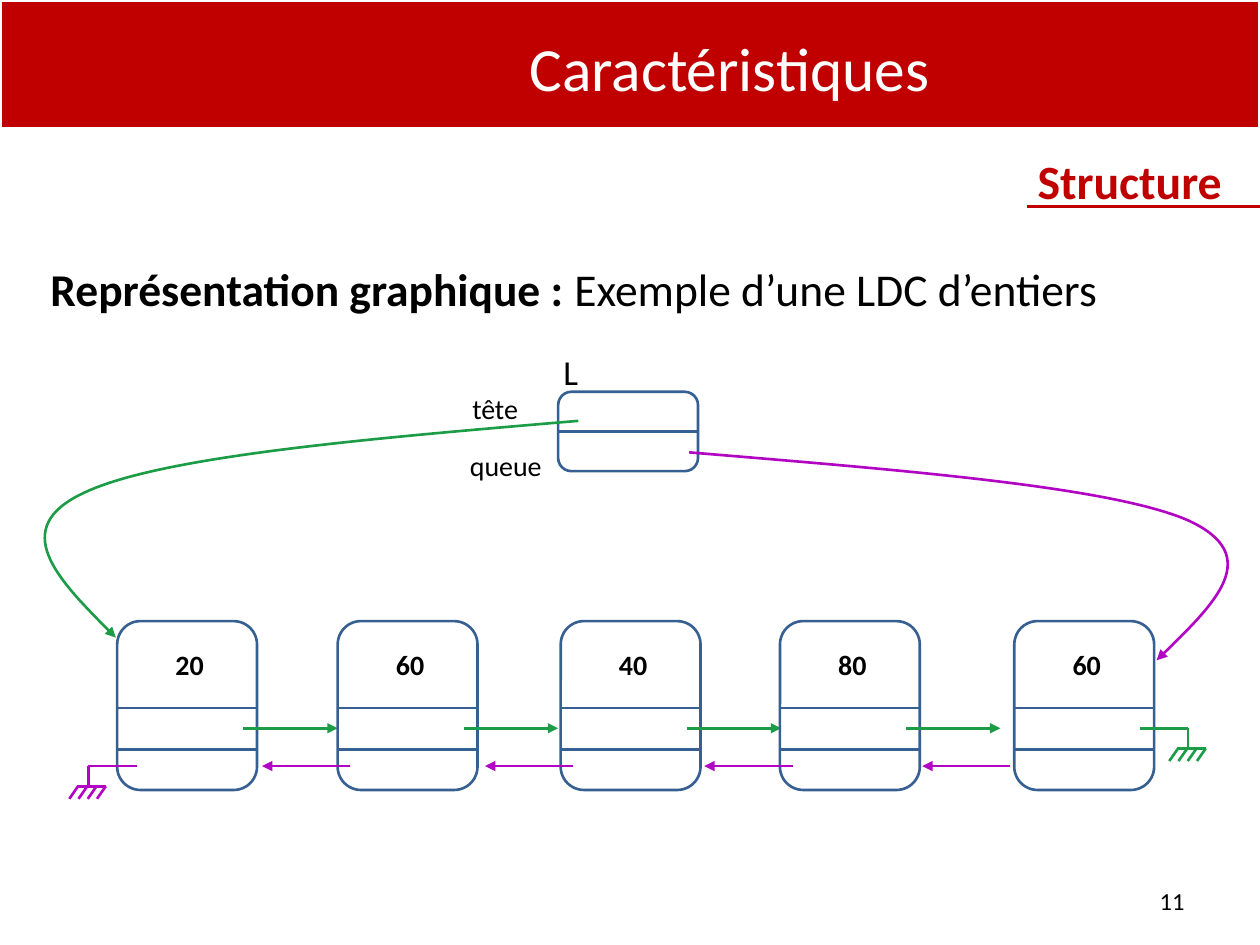
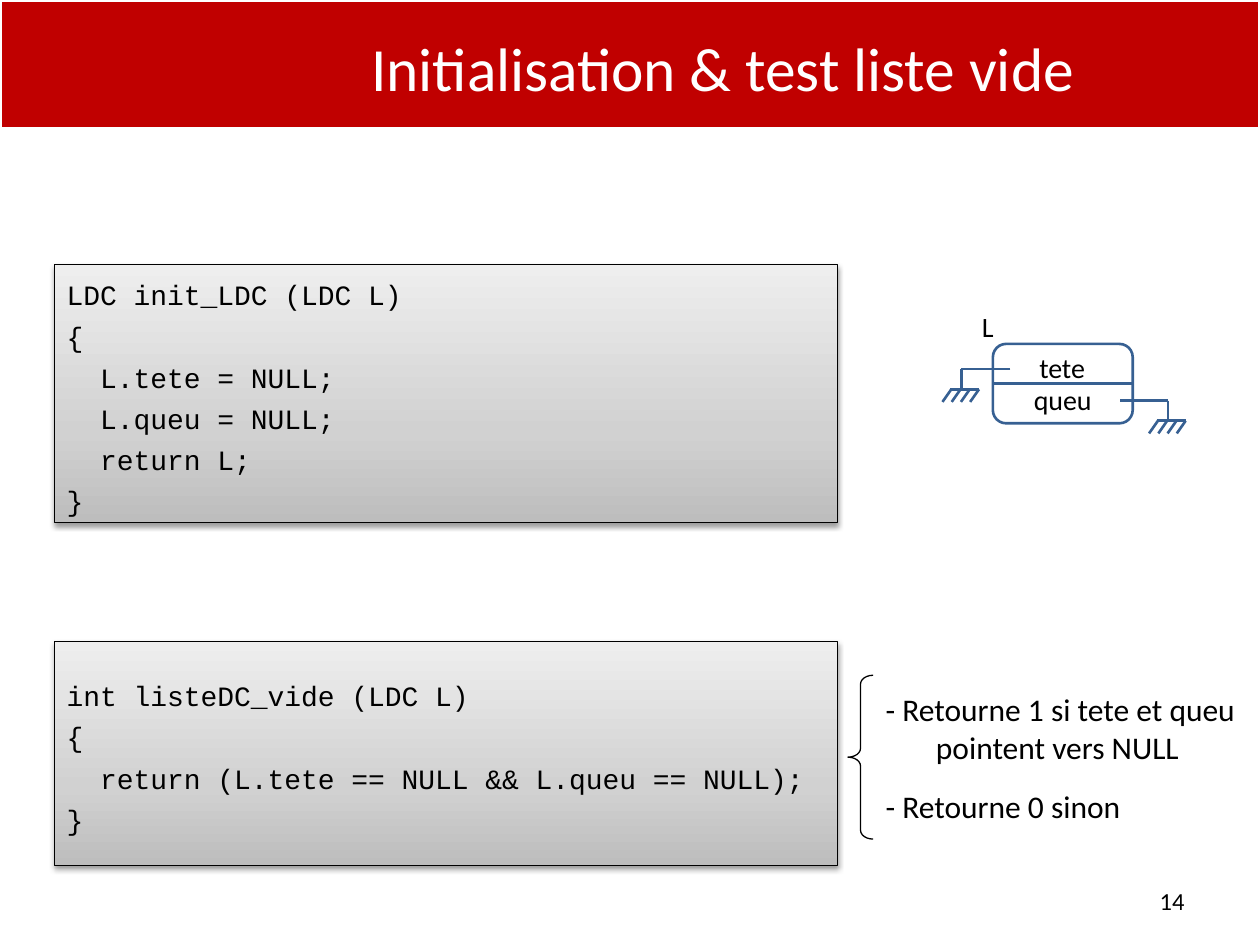
import dataclasses

import lxml.etree
import pptx
import pptx.dml.color
import pptx.enum.shapes
import pptx.enum.text
import pptx.oxml.ns
import pptx.slide
import pptx.util

Inches = pptx.util.Inches
Pt = pptx.util.Pt
qn = pptx.oxml.ns.qn
SHAPE = pptx.enum.shapes.MSO_SHAPE
ALIGN = pptx.enum.text.PP_ALIGN
ANCHOR = pptx.enum.text.MSO_ANCHOR
AUTO_SIZE = pptx.enum.text.MSO_AUTO_SIZE

RED, WHITE, BLACK = "C00000", "FFFFFF", "000000"
OUTLINE, NEXT, PREVIOUS = "376092", "1C9C47", "B105C3"
CODE_GRADIENT = ((0, "BDBDBD"), (35, "D1D1D1"), (100, "EEEEEE"))
CELL_WIDTH = 1.11
HEADER_HEIGHT = 0.63


@dataclasses.dataclass(frozen=True)
class Cell:
    """One element of the doubly linked list."""
    value: str
    left: float
    back_offset: float = 0.1


@dataclasses.dataclass(frozen=True)
class CodeBlock:
    """A listing and its vertical extent."""
    top: float
    height: float
    lines: tuple[str, ...]


@dataclasses.dataclass(frozen=True)
class Label:
    """A caption with its box."""
    text: str
    left: float
    top: float
    width: float
    size: float = 16
    bold: bool = False


CELLS = (Cell("20", 0.93), Cell("60", 2.68), Cell("40", 4.45),
         Cell("80", 6.19), Cell("60", 8.05, -0.03))

CODE_BLOCKS = (
    CodeBlock(2.1, 2.05, ("LDC init_LDC (LDC L)", "{", "  L.tete = NULL;",
                          "  L.queu = NULL;", "  return L;", "}")),
    CodeBlock(5.09, 1.78, ("int listeDC_vide (LDC L)", "{",
                           "  return (L.tete == NULL && L.queu == NULL);", "}")),
)


def rgb(colour: str) -> pptx.dml.color.RGBColor:
    """Turn a hex string into a colour."""
    return pptx.dml.color.RGBColor.from_string(colour)


def box(left: float, top: float, width: float, height: float) -> tuple:
    """Convert a rectangle in inches to lengths."""
    return Inches(left), Inches(top), Inches(width), Inches(height)


def write(frame, *lines: str, size: float, font: str = "Calibri", colour: str = BLACK,
          bold: bool = False, bold_lead: str = "", align=ALIGN.LEFT, anchor=ANCHOR.TOP,
          space_before: float = 0, space_after: float = 0, auto_size=AUTO_SIZE.NONE) -> None:
    """Fill a text frame with formatted paragraphs."""
    frame.word_wrap = True
    frame.auto_size = auto_size
    frame.vertical_anchor = anchor
    for index, line in enumerate(lines):
        paragraph = frame.paragraphs[0] if index == 0 else frame.add_paragraph()
        paragraph.alignment = align
        paragraph.space_before = Pt(space_before if index else 0)
        paragraph.space_after = Pt(space_after if index < len(lines) - 1 else 0)
        for text, is_bold in ((bold_lead, True), (line, bold)):
            if text:
                run = paragraph.add_run()
                run.text = text
                run.font.size = Pt(size)
                run.font.name = font
                run.font.bold = is_bold
                run.font.color.rgb = rgb(colour)


def hang(paragraph, margin: float, indent: float) -> None:
    """Give a paragraph a hanging indent and no bullet."""
    properties = paragraph._p.get_or_add_pPr()
    properties.set("marL", str(Inches(margin)))
    properties.set("indent", str(Inches(indent)))
    lxml.etree.SubElement(properties, qn("a:buNone"))


def add_arrowhead(line) -> None:
    """Put a triangle at the end of a line."""
    lxml.etree.SubElement(line._get_or_add_ln(), qn("a:tailEnd"), type="triangle")


def add_outline(slide: pptx.slide.Slide, kind, place: tuple, colour: str = OUTLINE,
                width: float = 1.5):
    """Draw an unfilled preset shape."""
    shape = slide.shapes.add_shape(kind, *place)
    shape.shadow.inherit = False
    shape.fill.background()
    shape.line.color.rgb = rgb(colour)
    shape.line.width = Pt(width)
    return shape


def add_line(slide: pptx.slide.Slide, x1: float, y1: float, x2: float, y2: float,
             colour: str = OUTLINE, arrow: bool = False):
    """Draw a straight line, with an arrowhead if asked."""
    connector = slide.shapes.add_connector(
        pptx.enum.shapes.MSO_CONNECTOR.STRAIGHT,
        Inches(x1), Inches(y1), Inches(x2), Inches(y2))
    connector.line.color.rgb = rgb(colour)
    connector.line.width = Pt(1.5)
    if arrow:
        add_arrowhead(connector.line)
    lxml.etree.SubElement(connector.element.spPr, qn("a:effectLst"))
    return connector


def add_curve(slide: pptx.slide.Slide, colour: str, start: tuple, *controls: tuple) -> None:
    """Draw a Bézier arrow, three control points to each segment."""
    builder = slide.shapes.build_freeform(Inches(start[0]), Inches(start[1]))
    builder.add_line_segments([(Inches(x), Inches(y)) for x, y in controls], close=False)
    curve = builder.convert_to_shape()
    curve.shadow.inherit = False
    curve.fill.background()
    curve.line.color.rgb = rgb(colour)
    curve.line.width = Pt(1.5)
    add_arrowhead(curve.line)
    outline = next(curve.element.iter(qn("a:path")))
    segments = outline.findall(qn("a:lnTo"))
    for first in range(0, len(segments), 3):
        bezier = lxml.etree.SubElement(outline, qn("a:cubicBezTo"))
        for segment in segments[first:first + 3]:
            bezier.append(segment[0])
            outline.remove(segment)


def add_label(slide: pptx.slide.Slide, label: Label) -> None:
    """Place a centred caption."""
    caption = slide.shapes.add_textbox(*box(label.left, label.top, label.width, 0.37))
    write(caption.text_frame, label.text, size=label.size, bold=label.bold,
          align=ALIGN.CENTER, auto_size=AUTO_SIZE.SHAPE_TO_FIT_TEXT)


def add_ground(slide: pptx.slide.Slide, start: float, drop: float, y: float,
               colour: str = OUTLINE) -> None:
    """Draw the NULL symbol at the end of a pointer."""
    bar = y + 0.16
    add_line(slide, start, y, drop, y, colour)
    add_line(slide, drop, y, drop, bar, colour)
    add_line(slide, drop - 0.09, bar, drop + 0.14, bar, colour)
    for index in range(4):
        tick = drop - 0.08 + index * 0.22 / 3
        add_line(slide, tick, bar, tick - 0.07, bar + 0.1, colour)


def add_list_header(slide: pptx.slide.Slide, left: float, top: float) -> None:
    """Draw the two-field record that holds the head and tail."""
    header = add_outline(slide, SHAPE.ROUNDED_RECTANGLE,
                         box(left, top, CELL_WIDTH, HEADER_HEIGHT))
    middle = top + HEADER_HEIGHT / 2
    divider = add_line(slide, left, middle, left + CELL_WIDTH, middle)
    divider.begin_connect(header, 1)
    divider.end_connect(header, 3)


def add_cell(slide: pptx.slide.Slide, cell: Cell) -> None:
    """Draw a list element with its value and its inner pointers."""
    add_outline(slide, SHAPE.ROUNDED_RECTANGLE, box(cell.left, 4.93, CELL_WIDTH, 1.34))
    for y in (5.62, 5.95):
        add_line(slide, cell.left, y, cell.left + CELL_WIDTH, y)
    add_label(slide, Label(cell.value, cell.left + 0.04, 5.09, 1.07, bold=True))
    if cell != CELLS[-1]:
        add_line(slide, cell.left + 1, 5.78, cell.left + 1.75, 5.78, NEXT, arrow=True)
    if cell != CELLS[0]:
        start = cell.left + cell.back_offset
        add_line(slide, start, 6.08, start - 0.7, 6.08, PREVIOUS, arrow=True)


def add_code(slide: pptx.slide.Slide, block: CodeBlock) -> None:
    """Draw a listing on a shaded panel."""
    panel = add_outline(slide, SHAPE.RECTANGLE, box(0.43, block.top, 6.22, block.height),
                        BLACK, 0.75)
    panel.fill.gradient()
    panel.fill.gradient_angle = 90
    stops = next(panel.element.iter(qn("a:gsLst")))
    stops[:] = []
    for position, colour in CODE_GRADIENT:
        stop = lxml.etree.SubElement(stops, qn("a:gs"), pos=str(position * 1000))
        lxml.etree.SubElement(stop, qn("a:srgbClr"), val=colour)
    shadow = lxml.etree.SubElement(
        panel.element.spPr.find(qn("a:effectLst")), qn("a:outerShdw"),
        blurRad=str(Pt(3.1)), dist=str(Pt(1.6)), dir="5400000", rotWithShape="0")
    tint = lxml.etree.SubElement(shadow, qn("a:srgbClr"), val=BLACK)
    lxml.etree.SubElement(tint, qn("a:alpha"), val="38000")
    panel.text_frame.margin_top = Inches(0.11)
    write(panel.text_frame, *block.lines, size=16, font="Courier New",
          anchor=ANCHOR.MIDDLE, space_before=4.3)


def place(placeholder, left: float, top: float, width: float, height: float) -> None:
    """Move a placeholder."""
    (placeholder.left, placeholder.top,
     placeholder.width, placeholder.height) = box(left, top, width, height)


def start_slide(deck, layout: int, title: str, number: int) -> pptx.slide.Slide:
    """Add a slide with the red band, its title and page number."""
    slide = deck.slides.add_slide(deck.slide_layouts[layout])
    band = add_outline(slide, SHAPE.RECTANGLE, box(0, 0, 10, 1.02), WHITE, 2)
    band.fill.solid()
    band.fill.fore_color.rgb = rgb(RED)
    band.element.getparent().insert(2, band.element)
    place(slide.shapes.title, 2.17, 0.19, 7.24, 0.69)
    write(slide.shapes.title.text_frame, title, size=35.1, colour=WHITE,
          align=ALIGN.CENTER, anchor=ANCHOR.MIDDLE)
    page = slide.shapes.add_textbox(*box(7.17, 6.95, 2.33, 0.4))
    write(page.text_frame, str(number), size=14, align=ALIGN.RIGHT, anchor=ANCHOR.MIDDLE)
    return slide


def build_structure(deck) -> None:
    """Build the diagram of a doubly linked list."""
    slide = start_slide(deck, 1, "Caractéristiques", 11)
    body = slide.placeholders[1]
    place(body, 0.28, 2.02, 9.37, 5.12)
    hang(body.text_frame.paragraphs[0], 0.4, -0.38)
    write(body.text_frame, "Exemple d’une LDC d’entiers", size=26,
          bold_lead="Représentation graphique : ", align=ALIGN.JUSTIFY)
    section = slide.shapes.add_textbox(*box(2.64, 1.09, 7.24, 0.69))
    write(section.text_frame, "Structure ", size=27.3, colour=RED, bold=True,
          align=ALIGN.RIGHT, anchor=ANCHOR.MIDDLE)
    add_line(slide, 8.15, 1.64, 10, 1.64, RED)

    add_list_header(slide, 4.43, 3.11)
    for label in (Label("tête", 3.36, 3.06, 1.14), Label("queue", 3.53, 3.51, 0.97),
                  Label("L", 4.32, 2.73, 0.42, 20)):
        add_label(slide, label)
    for cell in CELLS:
        add_cell(slide, cell)
    add_ground(slide, 9.05, 9.43, 5.78, NEXT)
    add_ground(slide, 1.09, 0.7, 6.08, PREVIOUS)
    add_curve(slide, PREVIOUS, (5.47, 3.59), (7.14, 3.73), (8.81, 3.86), (9.43, 4.13),
              (10.04, 4.41), (9.61, 4.82), (9.18, 5.24))
    add_curve(slide, NEXT, (4.59, 3.34), (2.93, 3.48), (1.28, 3.62), (0.67, 3.91),
              (0.06, 4.19), (0.49, 4.63), (0.92, 5.06))


def build_initialisation(deck) -> None:
    """Build the listings for initialising and testing a list."""
    slide = start_slide(deck, 5, "Initialisation & test liste vide ", 14)
    for block in CODE_BLOCKS:
        add_code(slide, block)
    add_ground(slide, 8.02, 7.63, 2.93)
    add_ground(slide, 8.89, 9.27, 3.18)
    add_list_header(slide, 7.88, 2.73)
    for label in (Label("tete", 7.86, 2.73, 1.14), Label("queu", 7.95, 2.99, 0.97),
                  Label("L", 7.63, 2.41, 0.42)):
        add_label(slide, label)
    brace = add_outline(slide, SHAPE.LEFT_BRACE, box(6.73, 5.36, 0.2, 1.3), BLACK, 0.75)
    brace.adjustments[0] = 0.35
    result = slide.shapes.add_textbox(*box(6.93, 5.43, 3.11, 1.18))
    hang(result.text_frame.paragraphs[0], 0.4, -0.4)
    write(result.text_frame, "- Retourne 1 si tete et queu pointent vers NULL",
          "- Retourne 0 sinon", size=18, space_after=12,
          auto_size=AUTO_SIZE.SHAPE_TO_FIT_TEXT)


def main() -> None:
    """Build and save the presentation."""
    deck = pptx.Presentation()
    deck.slide_width, deck.slide_height = Inches(10), Inches(7.5)
    build_structure(deck)
    build_initialisation(deck)
    deck.save("out.pptx")


if __name__ == "__main__":
    main()
